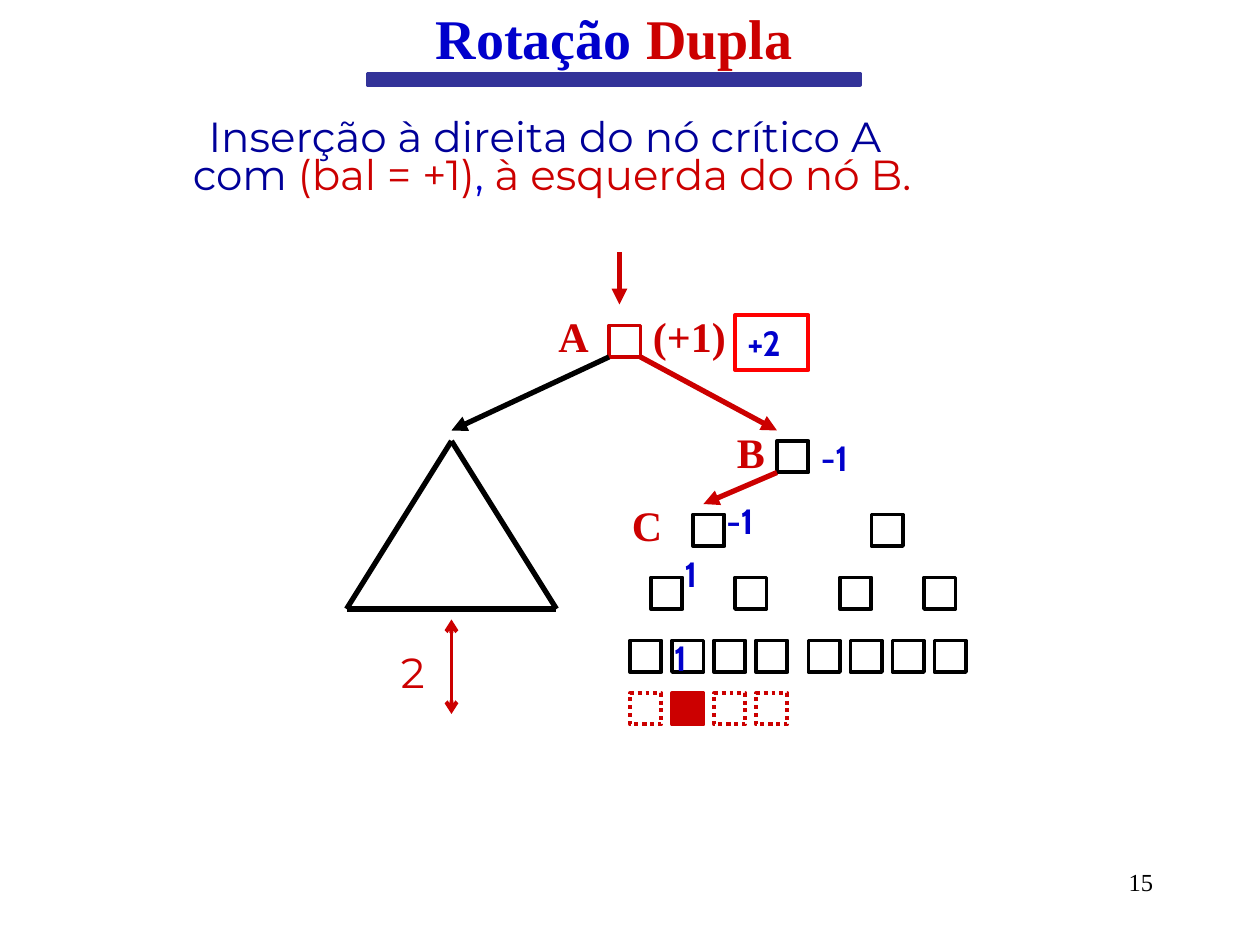
import pptx
import pptx.util
import pptx.dml.color
import pptx.enum.dml
import pptx.enum.shapes
import pptx.enum.text
import pptx.oxml.ns
from lxml import etree

Pt = pptx.util.Pt
RGBColor = pptx.dml.color.RGBColor
RECTANGLE = pptx.enum.shapes.MSO_SHAPE.RECTANGLE
STRAIGHT = pptx.enum.shapes.MSO_CONNECTOR.STRAIGHT
DOTTED = pptx.enum.dml.MSO_LINE.ROUND_DOT
LEFT = pptx.enum.text.PP_ALIGN.LEFT
CENTER = pptx.enum.text.PP_ALIGN.CENTER
RIGHT = pptx.enum.text.PP_ALIGN.RIGHT
TOP = pptx.enum.text.MSO_ANCHOR.TOP
MIDDLE = pptx.enum.text.MSO_ANCHOR.MIDDLE
NO_FIT = pptx.enum.text.MSO_AUTO_SIZE.NONE
qn = pptx.oxml.ns.qn

BLACK = RGBColor(0x00, 0x00, 0x00)
RED = RGBColor(0xCC, 0x00, 0x00)
BRIGHT_RED = RGBColor(0xFF, 0x00, 0x00)
BLUE = RGBColor(0x00, 0x00, 0xCC)
NAVY = RGBColor(0x00, 0x00, 0x99)
BAR_BLUE = RGBColor(0x33, 0x33, 0x99)
SERIF, SANS, NUMBER = "Times New Roman", "Montserrat", "Cabin"
NODE = 18


def write(para, text, font=SERIF, size=24, color=RED, bold=False, align=LEFT):
    """Append one formatted run to the paragraph."""
    para.alignment = align
    span = para.add_run()
    span.text = text
    span.font.name = font
    span.font.size = Pt(size)
    span.font.bold = bold
    span.font.color.rgb = color


def draw_box(left, top, width, height, line, weight=2.25, fill=None, dash=None):
    box = page.shapes.add_shape(RECTANGLE, Pt(left), Pt(top), Pt(width), Pt(height))
    box.shadow.inherit = False
    if fill is None:
        box.fill.background()
    else:
        box.fill.solid()
        box.fill.fore_color.rgb = fill
    box.line.color.rgb = line
    box.line.width = Pt(weight)
    if dash is not None:
        box.line.dash_style = dash
    return box


deck = pptx.Presentation()
deck.slide_width, deck.slide_height = Pt(720), Pt(540)
page = deck.slides.add_slide(deck.slide_layouts[1])

# Title with its underline bar
title = page.shapes.title
title.left, title.top, title.width, title.height = Pt(114), Pt(0), Pt(474), Pt(42)
title.text_frame.auto_size = NO_FIT
title.text_frame.vertical_anchor = MIDDLE
for text, color in (("Rotação ", BLUE), ("Dupla", RED)):
    write(title.text_frame.paragraphs[0], text, size=32, color=color, bold=True, align=CENTER)
draw_box(210, 42, 281.5, 6.5, BAR_BLUE, weight=2, fill=BAR_BLUE)

# Statement of the case
body = page.placeholders[1]
body.left, body.top, body.width, body.height = Pt(84), Pt(60), Pt(534), Pt(60)
frame = body.text_frame
frame.auto_size = NO_FIT
frame.margin_top = Pt(8.5)
statement = [
    (28, 0.8, 0, [("Inserção à direita do nó crítico A", NAVY)]),
    (19, 0.5, 6, [("com ", NAVY), ("(bal = +1)", RED), (",", BLUE),
                  (" à esquerda do nó B.", RED)]),
]
for index, (margin, spacing, before, spans) in enumerate(statement):
    para = frame.paragraphs[0] if index == 0 else frame.add_paragraph()
    para.line_spacing = spacing
    para.space_before = Pt(before)
    properties = para._p.get_or_add_pPr()
    properties.set("marL", str(Pt(margin)))
    properties.set("indent", "0")
    etree.SubElement(properties, qn("a:buNone"))
    for text, color in spans:
        write(para, text, font=SANS, color=color)

# Tree nodes, level by level, then the inserted level
draw_box(348, 186, NODE, NODE, RED)
levels = [
    (252, [444]),
    (294, [396, 498]),
    (330, [372, 420, 480, 528]),
    (366, [start + 24 * step for start in (360, 462) for step in range(4)]),
]
for top, lefts in levels:
    for left in lefts:
        draw_box(left, top, NODE, NODE, BLACK)
for step in range(4):
    inserted = step == 1
    draw_box(360 + 24 * step, 396, NODE, NODE, RED,
             fill=RED if inserted else None, dash=None if inserted else DOTTED)

# Arrows between nodes, the height arrow and the left subtree
lines = [
    ((354, 144), (354, 174), RED, 3, {"tailEnd": "triangle"}),
    ((348, 204), (258, 246), BLACK, 3, {"tailEnd": "triangle"}),
    ((366, 204), (444, 246), RED, 3, {"tailEnd": "triangle"}),
    ((444, 270), (402, 288), RED, 3, {"tailEnd": "triangle"}),
    ((258, 354), (258, 408), RED, 2.25, {"headEnd": "arrow", "tailEnd": "arrow"}),
    ((258, 252), (198, 348), BLACK, 3, {}),
    ((258, 252), (318, 348), BLACK, 3, {}),
    ((198, 348), (318, 348), BLACK, 3, {}),
]
for start, end, color, weight, heads in lines:
    connector = page.shapes.add_connector(STRAIGHT, *map(Pt, start + end))
    connector.line.color.rgb = color
    connector.line.width = Pt(weight)
    outline = connector.line._get_or_add_ln()
    for tag, kind in heads.items():
        etree.SubElement(outline, qn("a:" + tag), type=kind)
    etree.SubElement(connector._element.spPr, qn("a:effectLst"))

# Node names, balance factors, subtree height and page number
name = dict(bold=True)
balance = dict(font=NUMBER, size=20, color=BLUE, bold=True)
labels = [
    ("A", 312, 174, 36, 36, True, name),
    ("(+1)", 366, 174, 60, 36, True, name),
    ("B", 414, 240, 36, 36, True, name),
    ("C", 354, 282, 36, 36, True, name),
    ("2", 222, 366, 30, 36, True, dict(font=SANS)),
    ("1", 378, 360, 26, 31.5, False, balance),
    ("1", 384, 312, 26, 31.5, False, balance),
    ("-1", 408, 282, 32.5, 31.5, False, balance),
    ("-1", 462, 246, 42, 31.5, True, balance),
    ("15", 516, 492, 150, 36, True, dict(size=14, color=BLACK, align=RIGHT)),
]
for text, left, top, width, height, wrap, style in labels:
    box = page.shapes.add_textbox(Pt(left), Pt(top), Pt(width), Pt(height))
    box.text_frame.word_wrap = wrap
    write(box.text_frame.paragraphs[0], text, **style)

new_balance = draw_box(420, 180, 42, 31.5, BRIGHT_RED)
new_balance.text_frame.vertical_anchor = TOP
write(new_balance.text_frame.paragraphs[0], "+2", **balance)

deck.save("out.pptx")
